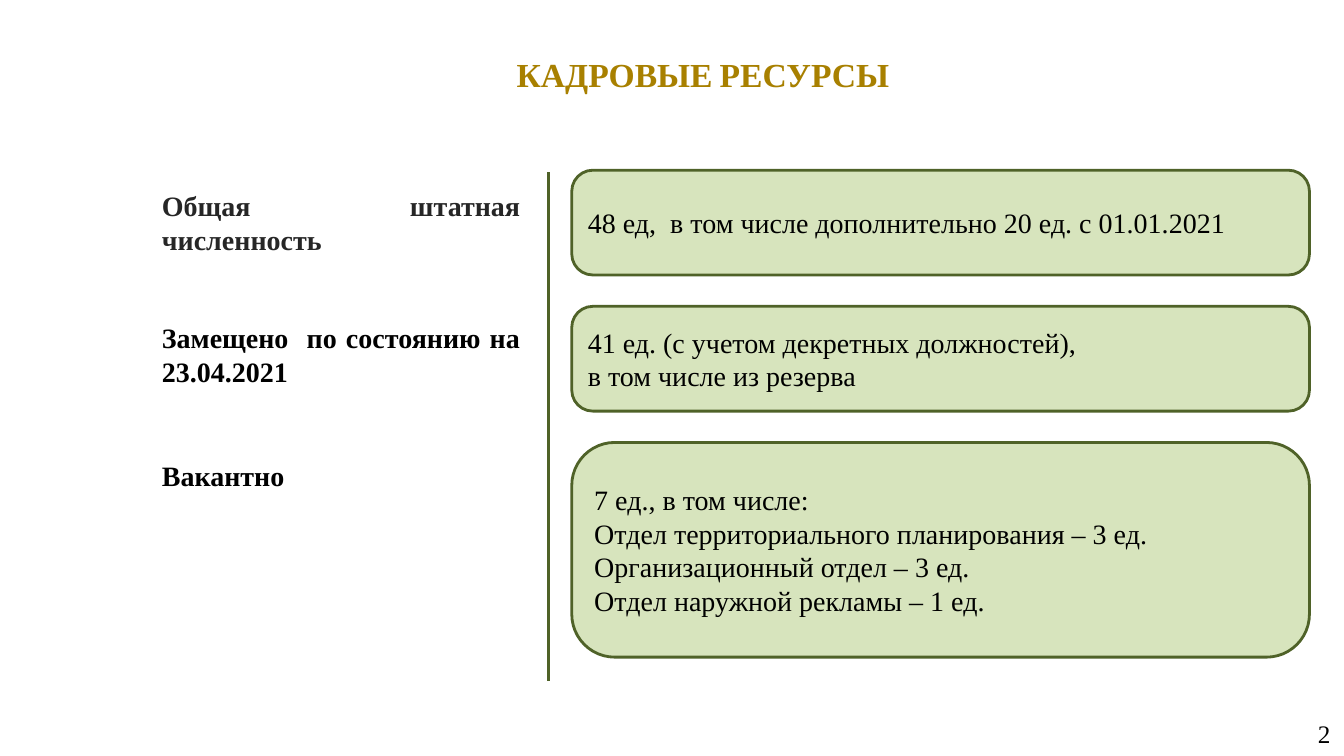
from dataclasses import dataclass

from lxml import etree
from pptx import Presentation
from pptx.dml.color import RGBColor
from pptx.enum.shapes import MSO_CONNECTOR, MSO_SHAPE
from pptx.enum.text import MSO_ANCHOR, MSO_AUTO_SIZE, PP_ALIGN
from pptx.oxml.ns import qn
from pptx.util import Cm, Pt

LEFT, CENTER, RIGHT, JUSTIFY = PP_ALIGN.LEFT, PP_ALIGN.CENTER, PP_ALIGN.RIGHT, PP_ALIGN.JUSTIFY
TOP, MIDDLE = MSO_ANCHOR.TOP, MSO_ANCHOR.MIDDLE
ROUNDED, STRAIGHT = MSO_SHAPE.ROUNDED_RECTANGLE, MSO_CONNECTOR.STRAIGHT
NO_FIT = MSO_AUTO_SIZE.NONE

FONT = "Times New Roman"
GOLD, BLACK, CHARCOAL = "A88000", "000000", "262626"
GREEN, PALE_GREEN = "4F6228", "D7E4BD"

TITLE_ONLY = 5
NARROW, WIDE = (0.25, 0.13), (0.33, 0.18)  # horizontal and vertical insets, cm
LABEL_X, LABEL_W = 3.83, 9.53
CARD_X, CARD_W, CARD_TOP, CARD_GAP = 14.41, 18.59, 4.29, 0.79
DIVIDER_X, DIVIDER_TOP, DIVIDER_BOTTOM = 13.82, 4.34, 17.15


@dataclass
class StaffRow:
    label: str
    label_top: float
    label_height: float
    label_color: str
    lines: list[str]
    card_height: float


ROWS = [
    StaffRow("Общая штатная численность", 4.62, 1.96, CHARCOAL,
             ["48 ед,  в том числе дополнительно 20 ед. с 01.01.2021"], 2.64),
    StaffRow("Замещено  по состоянию на 23.04.2021", 7.95, 1.96, BLACK,
             ["41 ед. (с учетом декретных должностей),", "в том числе из резерва"], 2.64),
    StaffRow("Вакантно", 11.43, 1.09, BLACK,
             ["7 ед., в том числе:",
              "Отдел территориального планирования – 3 ед.",
              "Организационный отдел – 3 ед.",
              "Отдел наружной рекламы – 1 ед."], 5.41),
]


def color(hex_value: str) -> RGBColor:
    return RGBColor.from_string(hex_value)


def set_frame(tf, insets: tuple[float, float], anchor) -> None:
    across, down = map(Cm, insets)
    frame_format = {
        "word_wrap": True, "auto_size": NO_FIT, "vertical_anchor": anchor,
        "margin_left": across, "margin_right": across,
        "margin_top": down, "margin_bottom": down,
    }
    for name, value in frame_format.items():
        setattr(tf, name, value)


def add_run(p, text: str, size: float, hex_value: str, bold: bool = False) -> None:
    r = p.add_run()
    r.text = text
    for name, value in {"name": FONT, "size": Pt(size), "bold": bold}.items():
        setattr(r.font, name, value)
    r.font.color.rgb = color(hex_value)


def add_text(slide, box: tuple[float, ...], text: str, size: float, hex_value: str,
             align, bold: bool = False, insets=NARROW, anchor=TOP) -> None:
    tf = slide.shapes.add_textbox(*map(Cm, box)).text_frame
    set_frame(tf, insets, anchor)
    p = tf.paragraphs[0]
    p.alignment = align
    add_run(p, text, size, hex_value, bold)


def add_card(slide, top: float, height: float, lines: list[str]) -> None:
    sp = slide.shapes.add_shape(ROUNDED, Cm(CARD_X), Cm(top), Cm(CARD_W), Cm(height))
    sp.adjustments[0] = 0.2
    sp.shadow.inherit = False
    sp.fill.solid()
    sp.fill.fore_color.rgb = color(PALE_GREEN)
    sp.line.color.rgb = color(GREEN)
    sp.line.width = Pt(2)
    tf = sp.text_frame
    set_frame(tf, NARROW, MIDDLE)
    for i, line in enumerate(lines):
        p = tf.add_paragraph() if i else tf.paragraphs[0]
        p.alignment = LEFT
        add_run(p, line, 20, BLACK)


def add_divider(slide) -> None:
    line = slide.shapes.add_connector(
        STRAIGHT, Cm(DIVIDER_X), Cm(DIVIDER_TOP), Cm(DIVIDER_X), Cm(DIVIDER_BOTTOM))
    line.line.color.rgb = color(GREEN)
    line.line.width = Pt(2)
    etree.SubElement(line._element.spPr, qn("a:effectLst"))


def add_title(slide) -> None:
    sp = slide.shapes.title
    sp.left, sp.top, sp.width, sp.height = map(Cm, (4.19, 1.17, 27.05, 1.35))
    set_frame(sp.text_frame, WIDE, TOP)
    p = sp.text_frame.paragraphs[0]
    p.alignment = CENTER
    for text, size in (("КАДРОВЫЕ", 24), (" ", 20), ("РЕСУРСЫ", 24)):
        add_run(p, text, size, GOLD, bold=True)


def main() -> None:
    prs = Presentation()
    prs.slide_width, prs.slide_height = Cm(33.87), Cm(19.05)
    slide = prs.slides.add_slide(prs.slide_layouts[TITLE_ONLY])

    # Heading and divider
    add_title(slide)
    add_divider(slide)

    # Labels with their cards, stacked at equal gaps
    card_top = CARD_TOP
    for row in ROWS:
        label_box = (LABEL_X, row.label_top, LABEL_W, row.label_height)
        add_text(slide, label_box, row.label, 20, row.label_color, JUSTIFY, bold=True)
        add_card(slide, card_top, row.card_height, row.lines)
        card_top += row.card_height + CARD_GAP

    # Page number
    add_text(slide, (25.96, 17.96, 7.9, 1.02), "2", 18, BLACK, RIGHT,
             insets=WIDE, anchor=MIDDLE)

    prs.save("out.pptx")


if __name__ == "__main__":
    main()
